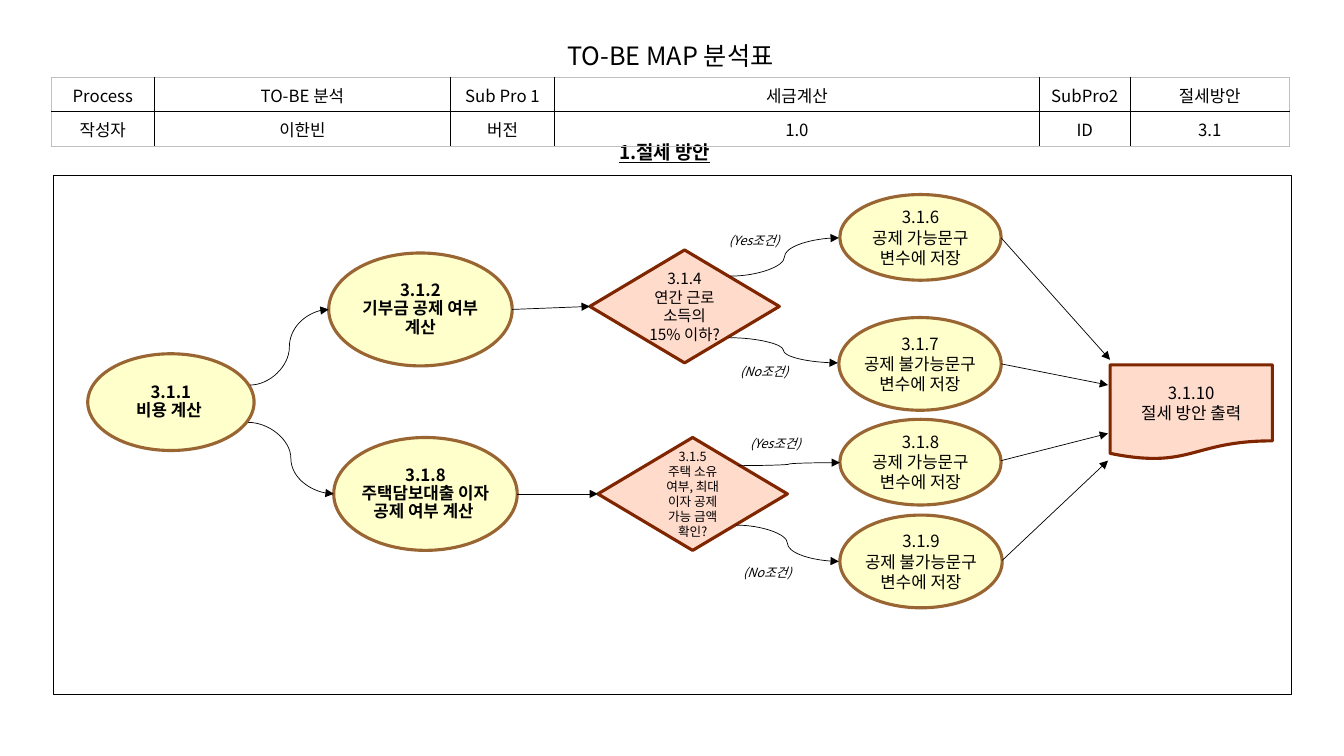
from dataclasses import dataclass

from lxml import etree
from pptx import Presentation
from pptx.dml.color import RGBColor
from pptx.enum.shapes import MSO_CONNECTOR, MSO_SHAPE
from pptx.enum.text import MSO_ANCHOR, PP_ALIGN
from pptx.oxml.ns import qn
from pptx.util import Inches, Pt

ELLIPSE = MSO_SHAPE.OVAL
DECISION = MSO_SHAPE.FLOWCHART_DECISION
DOCUMENT = MSO_SHAPE.FLOWCHART_DOCUMENT
STRAIGHT, CURVE = MSO_CONNECTOR.STRAIGHT, MSO_CONNECTOR.CURVE
CENTER, LEFT = PP_ALIGN.CENTER, PP_ALIGN.LEFT
MIDDLE, TOP = MSO_ANCHOR.MIDDLE, MSO_ANCHOR.TOP

FONT = "Noto Sans CJK KR"
COLORS = {
    "ink": "000000", "paper": "FFFFFF", "frame": "C0C0C0",
    "step_fill": "FFFFCC", "step_line": "996633",
    "decision_fill": "FFDBCC", "decision_line": "7F2500",
}


@dataclass
class Grid:
    left: float
    top: float
    widths: list[float]
    row_height: float
    rows: list[list[str]]
    size: float
    outer: str
    inner: str


@dataclass
class Node:
    kind: int
    left: float
    top: float
    width: float
    height: float
    number: str
    label: str
    size: float = 12
    bold: bool = False


@dataclass
class Arrow:
    kind: int
    start: tuple[float, float]
    end: tuple[float, float]


@dataclass
class Condition:
    left: float
    top: float
    text: str


TITLE = Grid(3.04, 0.31, [7.22], 0.4, [["TO-BE MAP 분석표"]], 18, "paper", "paper")
HEADER = Grid(0.51, 0.77, [1.02, 2.94, 1.03, 4.81, 0.9, 1.58], 0.34, [
    ["Process", "TO-BE 분석", "Sub Pro 1", "세금계산", "SubPro2", "절세방안"],
    ["작성자", "이한빈", "버전", "1.0", "ID", "3.1"],
], 12, "frame", "ink")

ALLOWED, DENIED = "공제 가능문구 변수에 저장", "공제 불가능문구 변수에 저장"
NODES = [
    Node(ELLIPSE, 0.87, 3.51, 1.65, 0.96, "3.1.1", "비용 계산 ", bold=True),
    Node(ELLIPSE, 3.26, 2.51, 1.82, 1.12, "3.1.2", "기부금 공제 여부 계산", bold=True),
    Node(ELLIPSE, 3.31, 4.34, 1.82, 1.12, "3.1.8", "주택담보대출 이자 공제 여부 계산 ", bold=True),
    Node(DECISION, 5.93, 4.34, 1.88, 1.12, "3.1.5", "주택 소유 여부, 최대 이자 공제 가능 금액 확인?", 9),
    Node(DECISION, 5.85, 2.48, 1.88, 1.12, "3.1.4", "연간 근로 소득의 15% 이하?", 11),
    Node(DOCUMENT, 11.01, 3.62, 1.61, 0.94, "3.1.10", "절세 방안 출력"),
    Node(ELLIPSE, 8.33, 1.93, 1.6, 0.85, "3.1.6", ALLOWED),
    Node(ELLIPSE, 8.32, 3.15, 1.61, 0.92, "3.1.7", DENIED),
    Node(ELLIPSE, 8.33, 5.11, 1.61, 0.92, "3.1.9", DENIED),
    Node(ELLIPSE, 8.33, 4.16, 1.6, 0.85, "3.1.8", ALLOWED),
]
ARROWS = [
    Arrow(CURVE, (2.48, 3.82), (3.26, 3.07)),
    Arrow(CURVE, (2.46, 4.19), (3.31, 4.9)),
    Arrow(STRAIGHT, (5.08, 3.07), (5.85, 3.04)),
    Arrow(STRAIGHT, (5.13, 4.9), (5.93, 4.9)),
    Arrow(CURVE, (7.24, 2.74), (8.32, 2.36)),
    Arrow(CURVE, (7.23, 3.35), (8.31, 3.6)),
    Arrow(CURVE, (7.32, 4.62), (8.33, 4.59)),
    Arrow(CURVE, (7.3, 5.21), (8.32, 5.57)),
    Arrow(STRAIGHT, (9.93, 2.36), (11.01, 3.57)),
    Arrow(STRAIGHT, (9.93, 3.61), (10.99, 3.82)),
    Arrow(STRAIGHT, (9.93, 4.57), (10.99, 4.3)),
    Arrow(STRAIGHT, (9.94, 5.56), (10.99, 4.57)),
]
CONDITIONS = [
    Condition(7.1, 2.24, "(Yes조건)"),
    Condition(7.31, 4.25, "(Yes조건)"),
    Condition(7.24, 5.53, "(No조건)"),
    Condition(7.21, 3.54, "(No조건)"),
]


def rgb(name: str) -> RGBColor:
    return RGBColor.from_string(COLORS[name])


def write(frame, lines: list[str], size: float, align=CENTER, bold=False,
          italic=False, underline=False, spacing: float = 1.0) -> None:
    """Fill a text frame, one paragraph per line."""
    frame.text = "\n".join(lines)
    for paragraph in frame.paragraphs:
        paragraph.alignment = align
        paragraph.line_spacing = spacing
        font = paragraph.font
        font.size, font.name = Pt(size), FONT
        font.bold, font.italic, font.underline = bold, italic, underline
        font.color.rgb = rgb("ink")
        # East Asian typeface for the Korean letters
        defaults = paragraph._p.pPr.find(qn("a:defRPr"))
        etree.SubElement(defaults, qn("a:ea"), typeface=FONT)


def set_frame(frame, anchor, side: float, end: float, wrap: bool = True) -> None:
    frame.word_wrap, frame.vertical_anchor = wrap, anchor
    frame.margin_left = frame.margin_right = Inches(side)
    frame.margin_top = frame.margin_bottom = Inches(end)


def add_text(slide, left: float, top: float, width: float, height: float):
    box = slide.shapes.add_textbox(Inches(left), Inches(top), Inches(width), Inches(height))
    return box.text_frame


def add_border(cell, side: str, color: str) -> None:
    line = etree.SubElement(cell._tc.get_or_add_tcPr(), qn(f"a:ln{side}"), w=str(Pt(1)))
    fill = etree.SubElement(line, qn("a:solidFill"))
    etree.SubElement(fill, qn("a:srgbClr"), val=COLORS[color])


def add_grid(slide, grid: Grid) -> None:
    rows, cols = len(grid.rows), len(grid.widths)
    table = slide.shapes.add_table(rows, cols, Inches(grid.left), Inches(grid.top),
                                   Inches(sum(grid.widths)), Inches(rows * grid.row_height)).table
    table.first_row = table.horz_banding = False
    for column, width in zip(table.columns, grid.widths):
        column.width = Inches(width)
    for r, texts in enumerate(grid.rows):
        table.rows[r].height = Inches(grid.row_height)
        for c, text in enumerate(texts):
            cell = table.cell(r, c)
            write(cell.text_frame, [text], grid.size)
            edges = {"L": c == 0, "R": c == cols - 1, "T": r == 0, "B": r == rows - 1}
            for side, is_outer in edges.items():
                add_border(cell, side, grid.outer if is_outer else grid.inner)
            cell.fill.background()


def add_node(slide, node: Node) -> None:
    shape = slide.shapes.add_shape(node.kind, Inches(node.left), Inches(node.top),
                                   Inches(node.width), Inches(node.height))
    is_step = node.kind == ELLIPSE
    role = "step" if is_step else "decision"
    shape.shadow.inherit = False
    shape.fill.solid()
    shape.fill.fore_color.rgb = rgb(f"{role}_fill")
    shape.line.color.rgb = rgb(f"{role}_line")
    shape.line.width = Pt(2.25)
    set_frame(shape.text_frame, MIDDLE, *((0, 0) if is_step else (0.1, 0.05)))
    write(shape.text_frame, [node.number, node.label], node.size,
          bold=node.bold, spacing=0.9 if node.bold else 1.0)


def add_arrow(slide, arrow: Arrow) -> None:
    ends = [Inches(value) for value in (*arrow.start, *arrow.end)]
    connector = slide.shapes.add_connector(arrow.kind, *ends)
    connector.line.color.rgb = rgb("ink")
    connector.line.width = Pt(0.5)
    etree.SubElement(connector.line._get_or_add_ln(), qn("a:tailEnd"), type="triangle")
    etree.SubElement(connector._element.spPr, qn("a:effectLst"))


def main() -> None:
    prs = Presentation()
    prs.slide_width, prs.slide_height = Inches(13.33), Inches(7.5)
    slide = prs.slides.add_slide(prs.slide_layouts[6])

    # Section heading
    heading = add_text(slide, 1.59, 1.36, 10, 0.3)
    set_frame(heading, MIDDLE, 0.12, 0.06, wrap=False)
    write(heading, ["1.절세 방안"], 13.5, bold=True, underline=True)

    # Title and header tables
    for grid in (TITLE, HEADER):
        add_grid(slide, grid)

    # Frame of the process map
    panel = slide.shapes.add_shape(MSO_SHAPE.RECTANGLE, Inches(0.53), Inches(1.74),
                                   Inches(12.28), Inches(5.15))
    panel.shadow.inherit = False
    panel.fill.background()
    panel.line.color.rgb = rgb("ink")
    panel.line.width = Pt(0.75)

    # Process map
    for node in NODES:
        add_node(slide, node)
    for arrow in ARROWS:
        add_arrow(slide, arrow)
    for condition in CONDITIONS:
        label = add_text(slide, condition.left, condition.top, 0.92, 0.29)
        set_frame(label, TOP, 0.13, 0.07)
        write(label, [condition.text], 9, LEFT, italic=True)

    prs.save("out.pptx")


if __name__ == "__main__":
    main()
